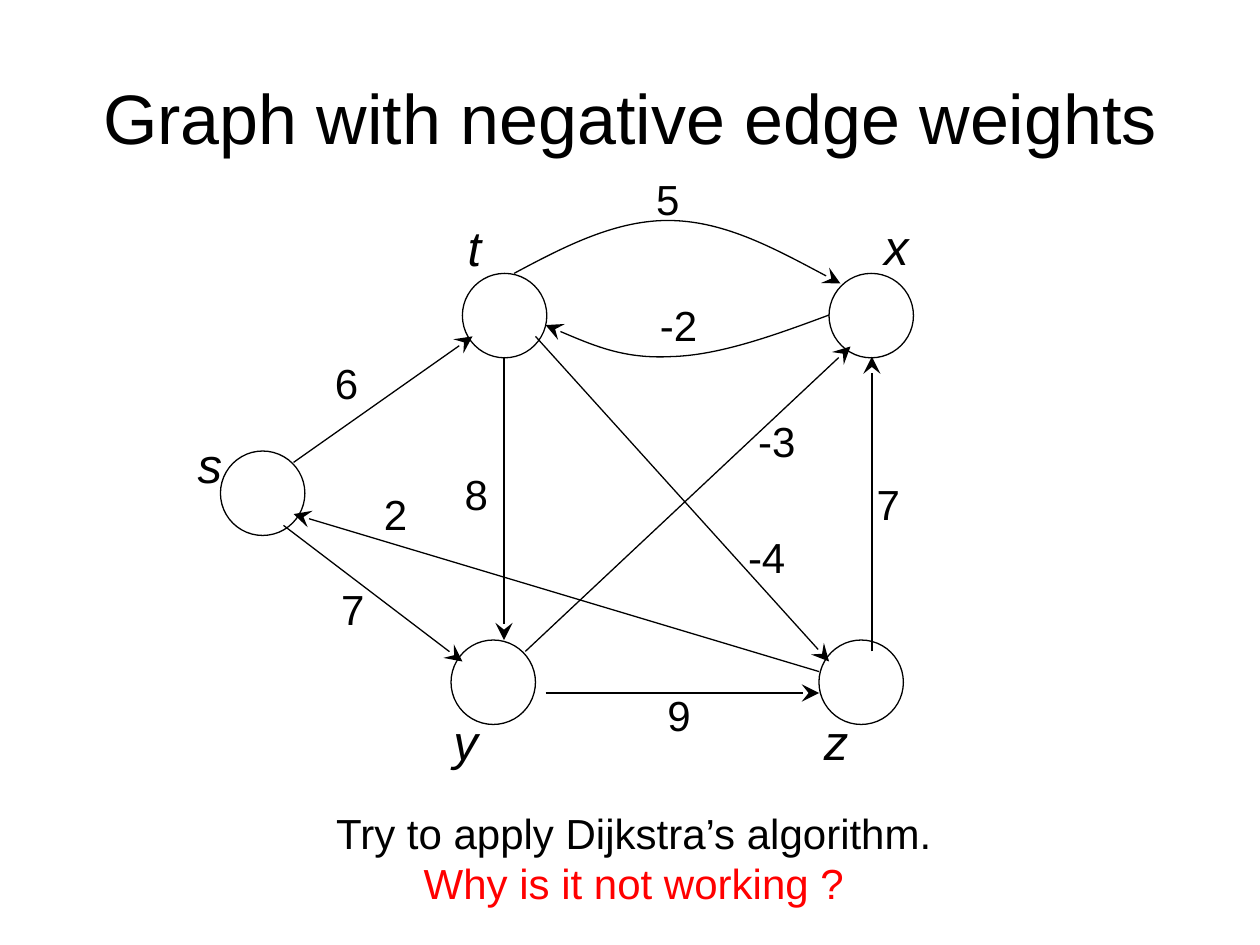
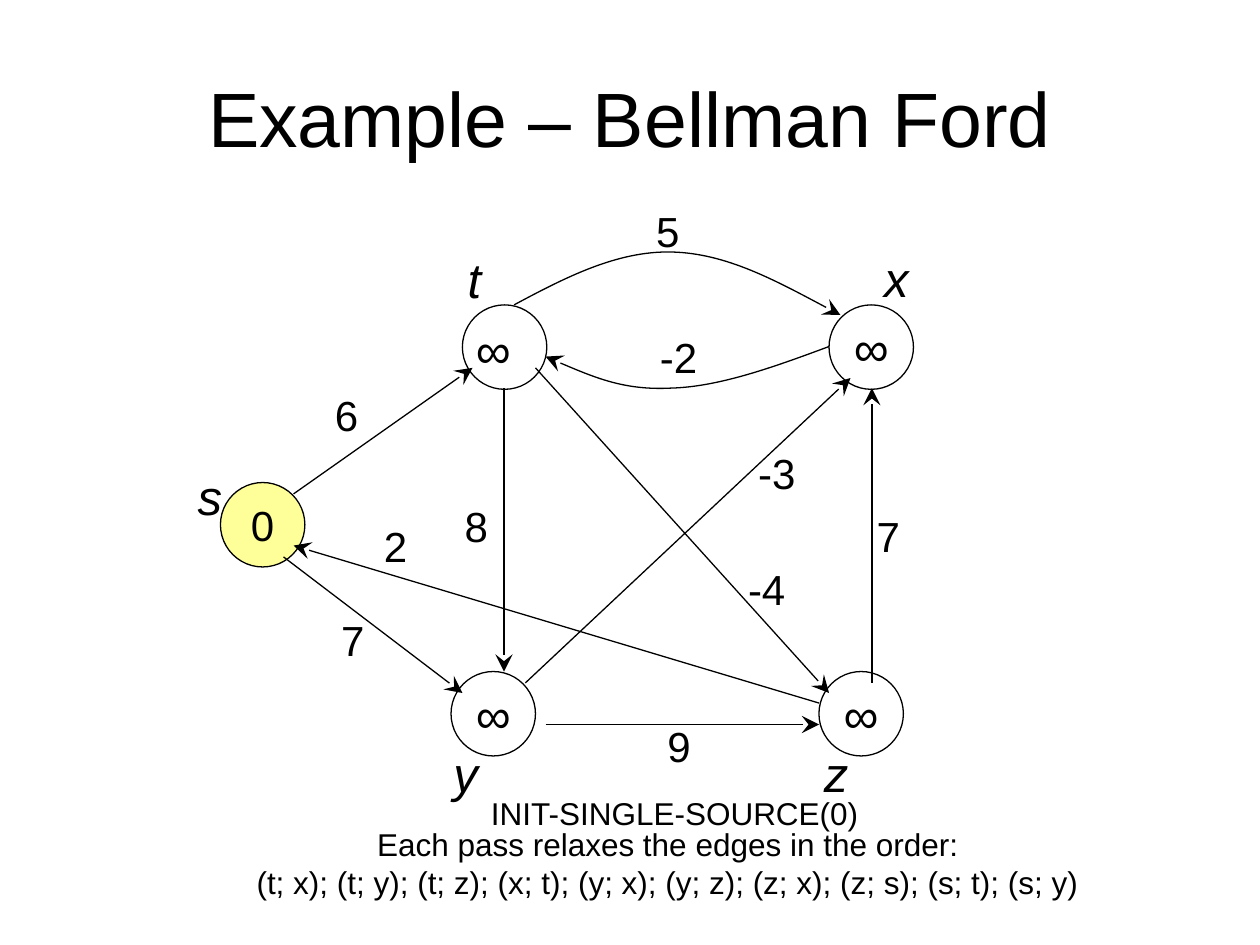
"""Build two slides on shortest paths in a graph with negative edge weights."""
from dataclasses import dataclass
from typing import Any

from lxml.etree import SubElement
from pptx import Presentation
from pptx.dml.color import RGBColor
from pptx.enum.shapes import MSO_CONNECTOR as Link, MSO_SHAPE as Preset
from pptx.enum.text import MSO_ANCHOR as Anchor, MSO_AUTO_SIZE as Fit, PP_ALIGN as Align
from pptx.oxml.ns import qn
from pptx.util import Pt

PX = 9144
COLORS = {"ink": "000000", "question": "FF0000", "source": "FFFF99"}
TITLE_PLACE = {"left": 50, "top": 30, "width": 900, "height": 125}
NODE_SIZE = 67
WEIGHT_HEIGHT, NAME_HEIGHT = 50, 57
SIDE_SLACK = 2
WEIGHT_FONT = {"size": Pt(24)}
NAME_FONT = {"size": Pt(28), "italic": True}
INFINITY_FONT = {"size": Pt(28)}
ARROWHEAD = {"type": "stealth", "w": "lg", "len": "lg"}


@dataclass(frozen=True)
class Node:
    """A vertex with its circle corner, its name and the corner of the name."""
    name: str
    left: int
    top: int
    name_left: int
    name_top: int
    name_width: int = 39


@dataclass(frozen=True)
class Edge:
    """A directed edge: two points are straight, four or more are Bezier curves."""
    weight: str
    weight_left: int
    weight_top: int
    points: tuple[tuple[int, int], ...]


@dataclass(frozen=True)
class Caption:
    """Centred lines of text, each with a colour key."""
    lines: tuple[tuple[str, str], ...]
    box: tuple[int, int, int, int]
    size: int


@dataclass(frozen=True)
class GraphSlide:
    """The title, graph offset, node distances and captions of one slide."""
    title: str
    title_size: int
    drop: int
    distances: dict[str, str]
    captions: tuple[Caption, ...]


NODES = (
    Node("s", 175, 358, 147, 340),
    Node("t", 367, 217, 361, 168, 31),
    Node("x", 658, 217, 692, 167),
    Node("y", 358, 508, 350, 560),
    Node("z", 650, 508, 644, 560),
)
EDGES = (
    Edge("6", 256, 279, ((233, 367), (375, 267))),
    Edge("7", 261, 458, ((225, 417), (367, 525))),
    Edge("8", 359, 367, ((400, 283), (400, 508))),
    Edge("5", 511, 133, ((408, 217), (449, 195), (490, 174), (533, 175),
                         (576, 176), (622, 201), (667, 225))),
    Edge("-2", 514, 233, ((658, 250), (615, 266), (571, 282), (533, 283),
                          (496, 285), (465, 272), (433, 258))),
    Edge("-4", 584, 417, ((425, 267), (658, 525))),
    Edge("-3", 592, 325, ((417, 517), (675, 275))),
    Edge("7", 686, 375, ((692, 517), (692, 283))),
    Edge("9", 520, 542, ((433, 550), (650, 550))),
    Edge("2", 295, 383, ((650, 533), (233, 408))),
)
SLIDES = (
    GraphSlide("Graph with negative edge weights", 40, 0, {}, (
        Caption((("Try to apply Dijkstra’s algorithm.", "ink"),
                 ("Why is it not working ?", "question")), (256, 636, 494, 90), 24),
    )),
    GraphSlide("Example – Bellman Ford", 44, 25,
               {"s": "0", "t": "∞", "x": "∞", "y": "∞", "z": "∞"}, (
        Caption((("INIT-SINGLE-SOURCE(0)", "ink"),), (379, 625, 313, 40), 18),
        Caption((("Each pass relaxes the edges in the order:", "ink"),
                 ("(t; x); (t; y); (t; z); (x; t); (y; x); (y; z); (z; x); (z; s); (s; t); (s; y)",
                  "ink")), (194, 650, 672, 70), 18),
    )),
)


def rgb(key: str) -> RGBColor:
    """Look up a named colour."""
    return RGBColor.from_string(COLORS[key])


def write(frame: Any, lines: tuple[tuple[str, str], ...], font: dict[str, Any]) -> None:
    """Write centred lines into a text frame."""
    for index, (words, color) in enumerate(lines):
        paragraph = frame.add_paragraph() if index else frame.paragraphs[0]
        paragraph.alignment = Align.CENTER
        run = paragraph.add_run()
        run.text = words
        run.font.color.rgb = rgb(color)
        for key, value in {"name": "Arial", **font}.items():
            setattr(run.font, key, value)


def add_label(slide: Any, lines: tuple[tuple[str, str], ...],
              box: tuple[int, int, int, int], font: dict[str, Any]) -> None:
    """Add an unwrapped text box, with a little slack on both sides of its text."""
    left, top, width, height = box
    roomy = (left - SIDE_SLACK, top, width + 2 * SIDE_SLACK, height)
    frame = slide.shapes.add_textbox(*(length * PX for length in roomy)).text_frame
    frame.word_wrap = False
    frame.auto_size = Fit.SHAPE_TO_FIT_TEXT
    write(frame, lines, font)


def outline(shape: Any) -> None:
    """Give a shape the thin ink line."""
    shape.line.color.rgb = rgb("ink")
    shape.line.width = Pt(0.75)


def add_node(slide: Any, node: Node, drop: int, distance: str) -> None:
    """Draw a vertex circle and the distance centred in it."""
    circle = slide.shapes.add_shape(Preset.OVAL, node.left * PX, (node.top + drop) * PX,
                                    NODE_SIZE * PX, NODE_SIZE * PX)
    circle.shadow.inherit = False
    outline(circle)
    if distance == "0":
        circle.fill.solid()
        circle.fill.fore_color.rgb = rgb("source")
    else:
        circle.fill.background()
    if distance and node.name != "t":
        circle.text_frame.word_wrap = False
        circle.text_frame.vertical_anchor = Anchor.MIDDLE
        write(circle.text_frame, ((distance, "ink"),),
              INFINITY_FONT if distance == "∞" else WEIGHT_FONT)


def add_curve(slide: Any, points: list[tuple[int, int]]) -> Any:
    """Draw an open freeform whose points after the first form cubic Beziers."""
    builder = slide.shapes.build_freeform(*points[0], scale=PX)
    builder.add_line_segments(points[1:], close=False)
    curve = builder.convert_to_shape()
    curve.fill.background()
    route = curve.element.xpath(".//a:path")[0]
    steps = route.findall(qn("a:lnTo"))
    for first in range(0, len(steps), 3):
        bezier = SubElement(route, qn("a:cubicBezTo"))
        for step in steps[first:first + 3]:
            bezier.append(step[0])
            route.remove(step)
    return curve


def add_edge(slide: Any, edge: Edge, drop: int) -> None:
    """Draw an edge with a large stealth arrowhead."""
    points = [(x, y + drop) for x, y in edge.points]
    if len(points) == 2:
        ends = [length * PX for point in points for length in point]
        arrow = slide.shapes.add_connector(Link.STRAIGHT, *ends)
    else:
        arrow = add_curve(slide, points)
    outline(arrow)
    properties = arrow.element.spPr
    SubElement(properties.find(qn("a:ln")), qn("a:tailEnd"), ARROWHEAD)
    SubElement(properties, qn("a:effectLst"))


def add_title(slide: Any, words: str, size: int) -> None:
    """Place and format the title placeholder."""
    title = slide.shapes.title
    for key, length in TITLE_PLACE.items():
        setattr(title, key, length * PX)
    title.text_frame.auto_size = Fit.NONE
    title.text_frame.vertical_anchor = Anchor.MIDDLE
    write(title.text_frame, ((words, "ink"),), {"size": Pt(size)})


def add_graph(slide: Any, drop: int, distances: dict[str, str]) -> None:
    """Draw nodes, edges, weights and names, shifted down by drop."""
    for node in NODES:
        add_node(slide, node, drop, distances.get(node.name, ""))
    for edge in EDGES:
        add_edge(slide, edge, drop)
    for edge in EDGES:
        width = 27 + 11 * len(edge.weight)
        add_label(slide, ((edge.weight, "ink"),),
                  (edge.weight_left, edge.weight_top + drop, width, WEIGHT_HEIGHT), WEIGHT_FONT)
    for node in NODES:
        add_label(slide, ((node.name, "ink"),),
                  (node.name_left, node.name_top + drop, node.name_width, NAME_HEIGHT), NAME_FONT)
    if "t" in distances:
        add_label(slide, ((distances["t"], "ink"),), (368, 224 + drop, 47, NAME_HEIGHT),
                  INFINITY_FONT)


def main() -> None:
    """Build and save the presentation."""
    deck = Presentation()
    deck.slide_width, deck.slide_height = 1000 * PX, 750 * PX
    title_only = deck.slide_layouts[5]
    for content in SLIDES:
        slide = deck.slides.add_slide(title_only)
        add_title(slide, content.title, content.title_size)
        add_graph(slide, content.drop, content.distances)
        for caption in content.captions:
            add_label(slide, caption.lines, caption.box, {"size": Pt(caption.size)})
    deck.save("out.pptx")


if __name__ == "__main__":
    main()
